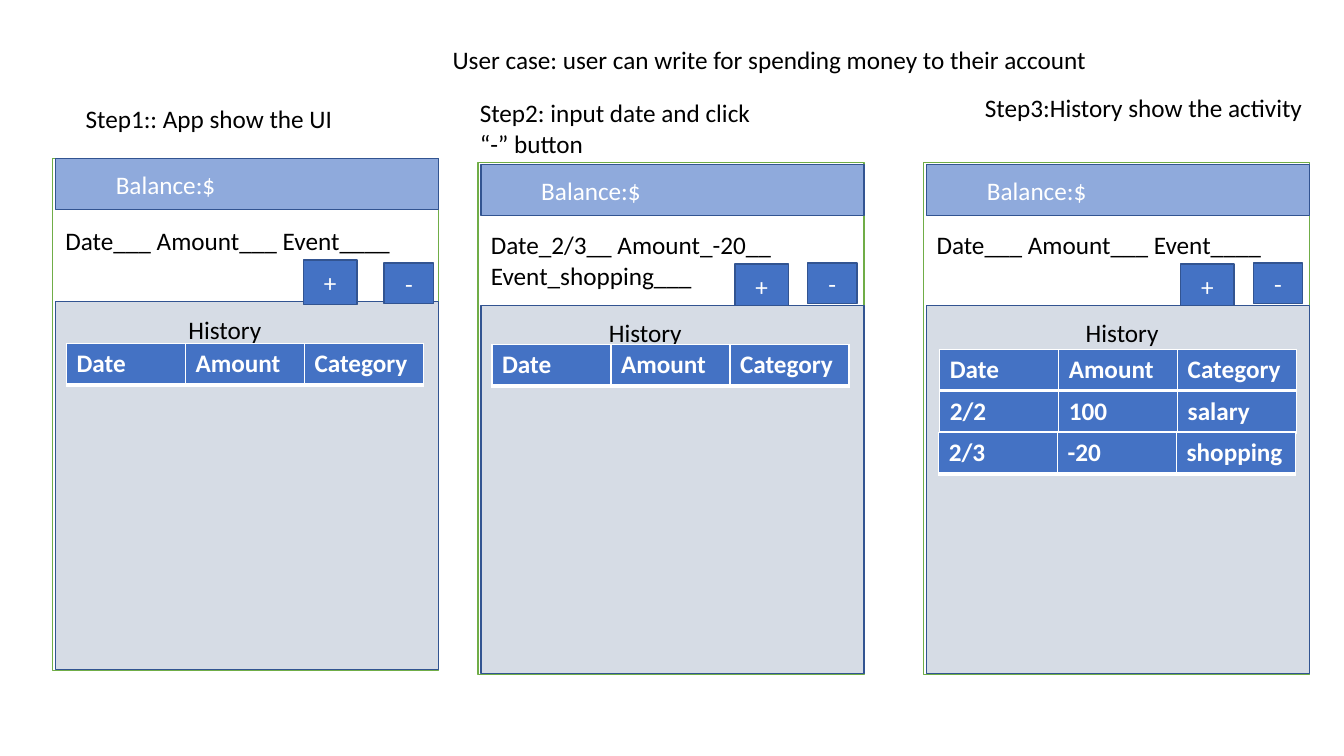
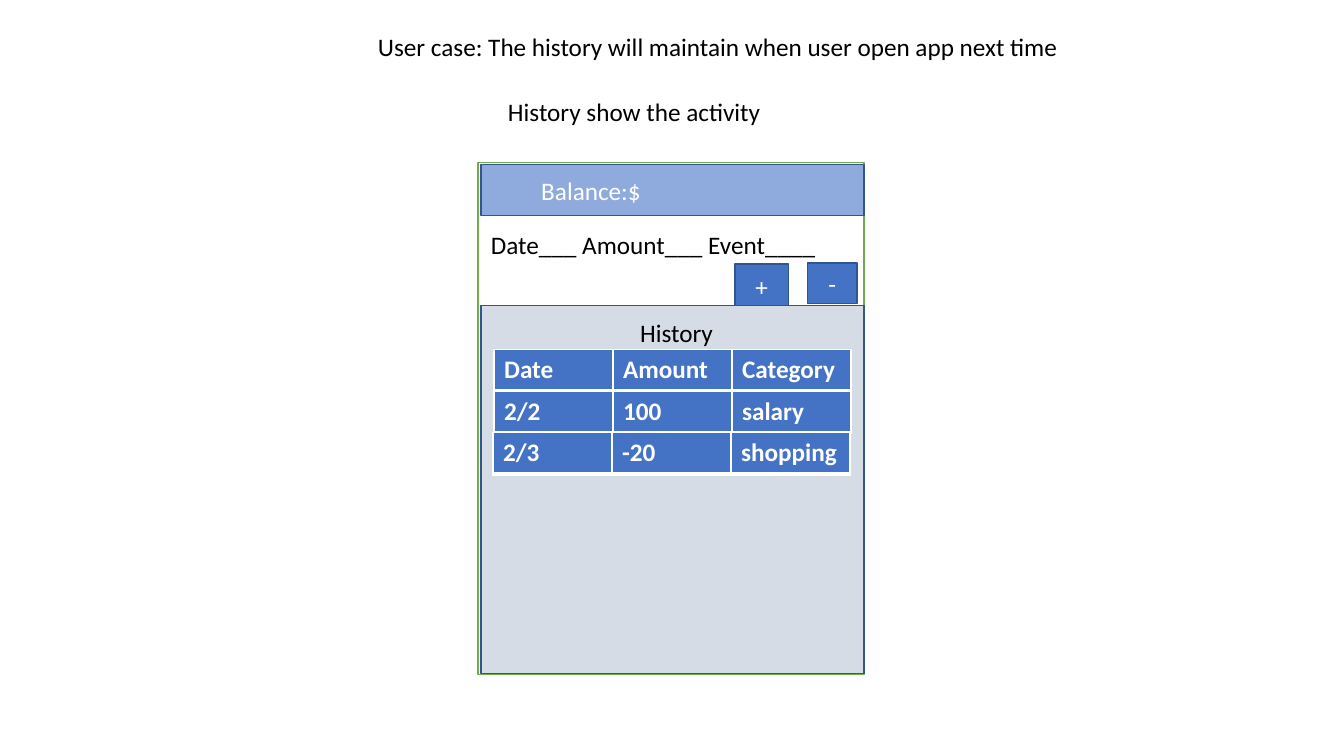
import pptx
import pptx.dml.color
import pptx.enum.shapes
import pptx.enum.text
import pptx.oxml
import pptx.oxml.ns
import pptx.util
from pptx.util import Inches

RGBColor = pptx.dml.color.RGBColor
WHITE = RGBColor(0xFF, 0xFF, 0xFF)
BLACK = RGBColor(0x00, 0x00, 0x00)
GREEN = RGBColor(0x70, 0xAD, 0x47)
BLUE = RGBColor(0x44, 0x72, 0xC4)
LIGHT_BLUE = RGBColor(0x8F, 0xAA, 0xDC)
DARK_BLUE = RGBColor(0x32, 0x54, 0x91)
GREY = RGBColor(0xD6, 0xDC, 0xE5)

HEADER = ("Date", "Amount", "Category")
SALARY = ("2/2", "100", "salary")
SHOPPING = ("2/3", "-20", "shopping")
BLANK_ENTRY = "Date___ Amount___ Event____"
COLUMN_WIDTH = 1.18
CENTER = pptx.enum.text.PP_ALIGN.CENTER
LEFT = pptx.enum.text.PP_ALIGN.LEFT


class Storyboard:
    font_name = "Calibri"
    font_size = pptx.util.Pt(18)

    def __init__(self, presentation):
        self.presentation = presentation
        self.slide = None

    def new_slide(self):
        self.slide = self.presentation.slides.add_slide(self.presentation.slide_layouts[6])

    def set_text(self, text_frame, text, color, alignment=LEFT, bold=False):
        text_frame.text = text
        paragraph = text_frame.paragraphs[0]
        paragraph.alignment = alignment
        paragraph.font.name = self.font_name
        paragraph.font.size = self.font_size
        paragraph.font.bold = bold
        paragraph.font.color.rgb = color

    def label(self, left, top, width, height, text):
        box = self.slide.shapes.add_textbox(
            Inches(left), Inches(top), Inches(width), Inches(height))
        box.text_frame.word_wrap = True
        box.text_frame.auto_size = pptx.enum.text.MSO_AUTO_SIZE.SHAPE_TO_FIT_TEXT
        self.set_text(box.text_frame, text, BLACK)

    def box(self, left, top, width, height, fill, line=DARK_BLUE, text="", alignment=LEFT):
        shape = self.slide.shapes.add_shape(
            pptx.enum.shapes.MSO_SHAPE.RECTANGLE,
            Inches(left), Inches(top), Inches(width), Inches(height))
        shape.shadow.inherit = False
        shape.fill.solid()
        shape.fill.fore_color.rgb = fill
        shape.line.color.rgb = line
        shape.line.width = pptx.util.Pt(1)
        if text:
            shape.text_frame.vertical_anchor = pptx.enum.text.MSO_ANCHOR.MIDDLE
            self.set_text(shape.text_frame, text, WHITE, alignment)

    def border(self, cell, side, points):
        properties = cell._tc.get_or_add_tcPr()
        properties.append(pptx.oxml.parse_xml(
            f'<a:ln{side} {pptx.oxml.ns.nsdecls("a")} w="{pptx.util.Pt(points)}">'
            f'<a:solidFill><a:srgbClr val="{WHITE}"/></a:solidFill></a:ln{side}>'))

    def record(self, left, top, values):
        """One history row, drawn as a table of its own."""
        height = Inches(0.41)
        table = self.slide.shapes.add_table(
            1, len(values), Inches(left), Inches(top),
            Inches(COLUMN_WIDTH * len(values)), height).table
        table.horz_banding = False
        table.rows[0].height = height
        for column, value in enumerate(values):
            table.columns[column].width = Inches(COLUMN_WIDTH)
            cell = table.cell(0, column)
            for side, points in (("L", 1), ("R", 1), ("T", 1), ("B", 3)):
                self.border(cell, side, points)
            cell.fill.solid()
            cell.fill.fore_color.rgb = BLUE
            self.set_text(cell.text_frame, value, WHITE, bold=True)

    def button(self, left, top, width, height, sign):
        self.box(left, top, width, height, BLUE, text=sign, alignment=CENTER)

    def app(self, left, top, entry=BLANK_ENTRY, bar_drop=0.02, plus=(2.55, 1.01),
            minus=(3.27, 1.0), plus_in_front=False, history=(1.51, 1.49)):
        """App window; button and heading places are relative to its corner."""
        inner = left + 0.03
        self.box(left, top, 3.83, 5.08, WHITE, GREEN)
        self.box(inner, top + bar_drop, 3.8, 0.51, LIGHT_BLUE, text="\tBalance:$")
        self.label(inner, top + 0.62, 3.48, 0.4, entry)

        def panel():
            self.box(inner, top + 1.42, 3.8, 3.65, GREY)

        def plus_button():
            self.button(left + plus[0], top + plus[1], 0.53, 0.44, "+")

        for draw in (panel, plus_button) if plus_in_front else (plus_button, panel):
            draw()
        self.button(left + minus[0], top + minus[1], 0.49, 0.4, "-")
        self.label(left + history[0], top + history[1], 1.15, 0.4, "History")

    def activity(self, left):
        """Full history: header and two entries, the last set slightly left."""
        for index, values in enumerate((HEADER, SALARY, SHOPPING)):
            shift = 0.01 if values is SHOPPING else 0
            self.record(left - shift, 3.47 + 0.41 * index, values)


presentation = pptx.Presentation()
presentation.slide_width = Inches(13.33)
presentation.slide_height = Inches(7.5)
board = Storyboard(presentation)

# Slide 1: spending money in three steps
board.new_slide()
board.label(4.39, 0.39, 7.59, 0.4,
            "User case: user can write for spending money to their account")
board.label(0.75, 0.98, 2.91, 0.4, "Step1:: App show the UI")
board.label(4.66, 0.92, 2.91, 0.71, "Step2: input date and click “-” button")
board.label(9.67, 0.87, 3.67, 0.4, "Step3:History show the activity")
board.app(0.52, 1.57, bar_drop=0, plus=(2.49, 1.01), minus=(3.29, 1.04),
          plus_in_front=True, history=(1.25, 1.5))
board.record(0.66, 3.41, HEADER)
board.app(4.74, 1.61, "Date_2/3__ Amount_-20__ Event_shopping___", history=(1.2, 1.49))
board.record(4.88, 3.42, HEADER)
board.app(9.16, 1.61)
board.activity(9.32)

# Slide 2: history kept for the next visit
board.new_slide()
board.label(3.65, 0.26, 7.59, 0.4,
            "User case: The history will maintain when user open app next time")
board.label(4.94, 0.91, 3.67, 0.4, "History show the activity")
board.app(4.74, 1.61)
board.activity(4.9)

presentation.save("out.pptx")
